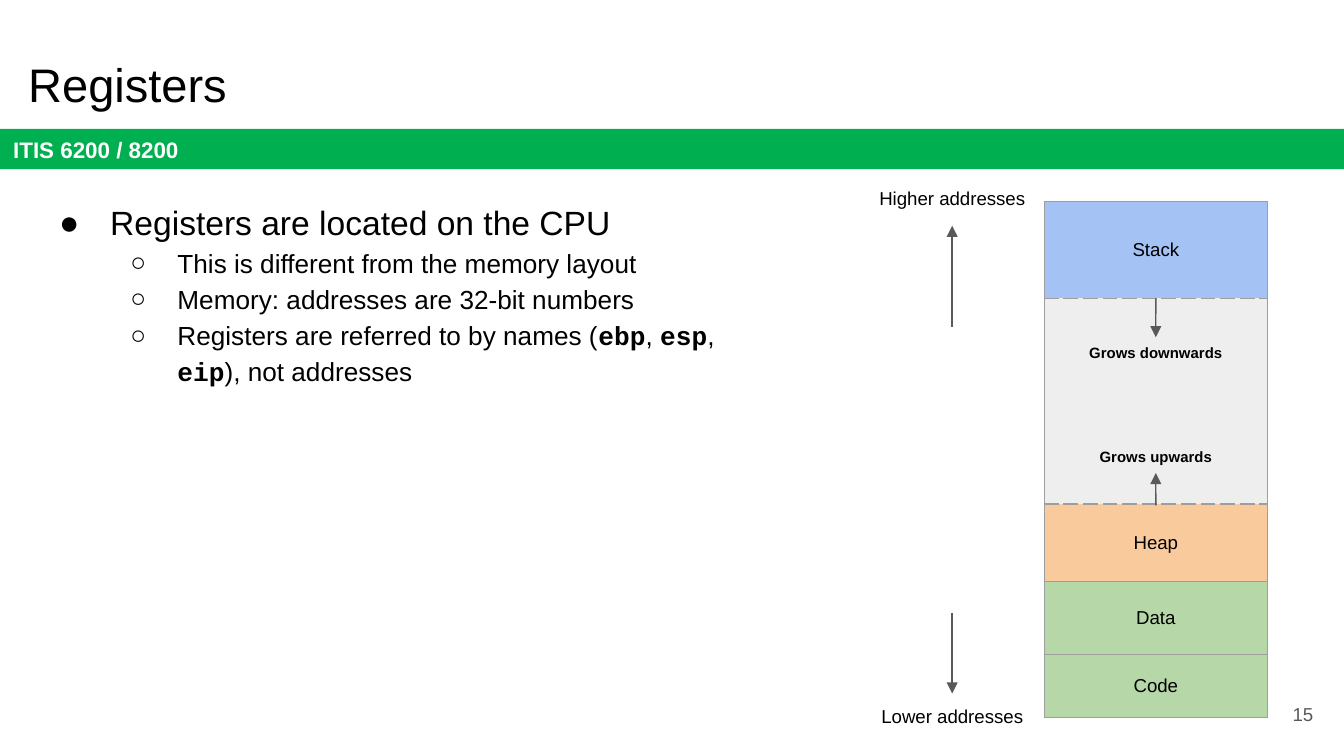
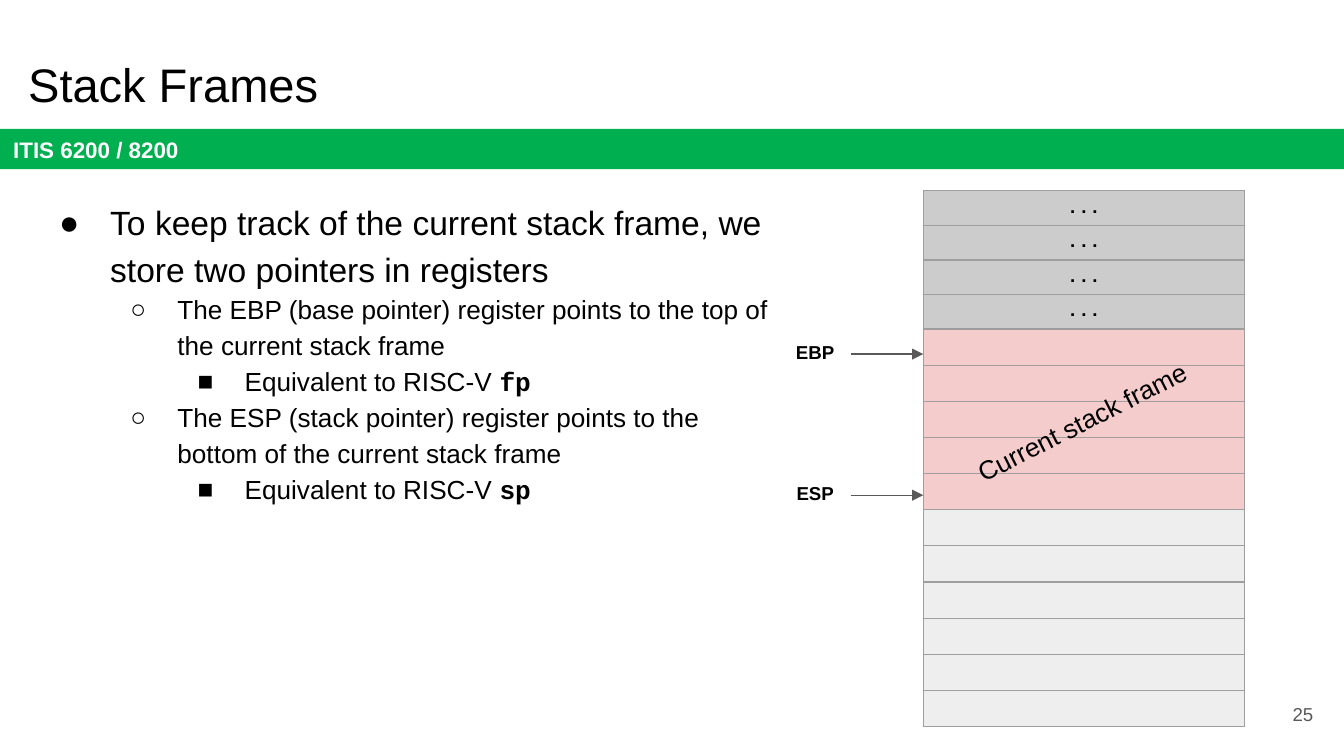
from dataclasses import dataclass

from pptx import Presentation
from pptx.dml.color import RGBColor
from pptx.enum.shapes import MSO_CONNECTOR, MSO_SHAPE
from pptx.enum.text import MSO_ANCHOR, MSO_AUTO_SIZE, PP_ALIGN
from pptx.oxml.xmlchemy import OxmlElement
from pptx.util import Inches, Pt

STRAIGHT, RECTANGLE = MSO_CONNECTOR.STRAIGHT, MSO_SHAPE.RECTANGLE
TOP, MIDDLE, BOTTOM = MSO_ANCHOR.TOP, MSO_ANCHOR.MIDDLE, MSO_ANCHOR.BOTTOM
LEFT, CENTER, RIGHT = PP_ALIGN.LEFT, PP_ALIGN.CENTER, PP_ALIGN.RIGHT
FIXED, GROW = MSO_AUTO_SIZE.NONE, MSO_AUTO_SIZE.SHAPE_TO_FIT_TEXT
TOP_SIDE, BOTTOM_SIDE, RIGHT_SIDE = 0, 2, 3

# The grid has square cells of a tenth of an inch.
CELL = 0.1
COLUMNS, ROWS = 100, 56.25


@dataclass(frozen=True)
class Theme:
    sans: str = "Arial"
    mono: str = "Courier New"
    ink: str = "000000"
    paper: str = "FFFFFF"
    band: str = "00B050"
    muted: str = "595959"
    border: str = "9E9E9E"
    stack: str = "A4C2F4"
    unused: str = "EEEEEE"
    heap: str = "F9CB9C"
    program: str = "B6D7A8"
    older: str = "CCCCCC"
    frame: str = "F4CCCC"
    title_size: float = 25.2
    lead_size: float = 18
    body_size: float = 14
    band_size: float = 12
    label_size: float = 10
    note_size: float = 8
    line_width: float = 0.75
    line_spacing: float = 1.15
    inset: float = 1
    tight_inset: float = 0.5


def grid(length):
    return Inches(length * CELL)


def element(parent, tag, **attributes):
    """Append a drawing element and return it."""
    child = OxmlElement(tag)
    for name, value in attributes.items():
        child.set(name, value)
    parent.append(child)
    return child


class Deck:
    BULLETS = "●○■"

    def __init__(self, theme):
        self.theme = theme
        self.presentation = Presentation()
        self.presentation.slide_width = grid(COLUMNS)
        self.presentation.slide_height = grid(ROWS)
        self.slide = None

    def style(self, paragraph, size, color=None, bold=False, font=None):
        for run in paragraph.runs:
            run.font.name = font or self.theme.sans
            run.font.size = Pt(size)
            run.font.bold = bold
            run.font.color.rgb = RGBColor.from_string(color or self.theme.ink)

    def frame(self, shape, anchor=TOP, inset=None, fit=FIXED):
        """Set up the text area of a shape and return it."""
        area = shape.text_frame
        area.word_wrap = True
        area.auto_size = fit
        area.vertical_anchor = anchor
        margin = grid(self.theme.inset if inset is None else inset)
        area.margin_left = area.margin_right = margin
        area.margin_top = area.margin_bottom = margin
        return area

    def place(self, shape, left, top, width, height):
        shape.left, shape.top = grid(left), grid(top)
        shape.width, shape.height = grid(width), grid(height)

    def start(self, title, number):
        """Begin a slide with its title, course band and page number."""
        theme = self.theme
        layout = self.presentation.slide_layouts[1]
        self.slide = self.presentation.slides.add_slide(layout)

        heading = self.slide.shapes.title
        self.place(heading, 1.1, 3, 93.2, 6.3)
        area = self.frame(heading, BOTTOM)
        area.text = title
        area.paragraphs[0].alignment = LEFT
        self.style(area.paragraphs[0], theme.title_size)

        band = self.slide.shapes.add_shape(
            RECTANGLE, 0, grid(9.6), grid(COLUMNS), grid(3))
        band.shadow.inherit = False
        band.fill.solid()
        band.fill.fore_color.rgb = RGBColor.from_string(theme.band)
        band.line.fill.background()
        area = self.frame(band, MIDDLE)
        area.text = "ITIS 6200 / 8200"
        area.paragraphs[0].alignment = LEFT
        self.style(area.paragraphs[0], theme.band_size, theme.paper, True)

        self.label(str(number), 92.7, 51, 6, 4.3, color=theme.muted,
                   align=RIGHT, anchor=MIDDLE, fit=FIXED)

    def bullets(self, items):
        """Fill the body from (level, text) pairs; `backticks` mark code."""
        theme = self.theme
        body = self.slide.placeholders[1]
        self.place(body, 2.2, 13.6, 56.2, 41.2)
        area = self.frame(body)
        for index, (level, text) in enumerate(items):
            paragraph = area.add_paragraph() if index else area.paragraphs[0]
            paragraph.level = level
            paragraph.alignment = LEFT
            paragraph.line_spacing = theme.line_spacing
            paragraph.space_before = paragraph.space_after = Pt(0)
            properties = paragraph._p.get_or_add_pPr()
            properties.set("marL", str(grid(5 * (level + 1))))
            properties.set("indent", str(grid(-3.5 if level else -3.8)))
            element(element(properties, "a:buClr"), "a:srgbClr", val=theme.ink)
            element(properties, "a:buFont", typeface=theme.sans)
            element(properties, "a:buChar", char=self.BULLETS[level])
            pieces = text.split("`")
            for piece in pieces:
                if piece:
                    paragraph.add_run().text = piece
            self.style(paragraph, theme.body_size if level else theme.lead_size)
            code = pieces[1::2]
            for run in paragraph.runs:
                if run.text in code:
                    run.font.name = theme.mono
                    run.font.bold = True

    def label(self, text, left, top, width, height, size=None, color=None,
              bold=False, align=CENTER, anchor=TOP, inset=None, fit=GROW):
        box = self.slide.shapes.add_textbox(
            grid(left), grid(top), grid(width), grid(height))
        area = self.frame(box, anchor, inset, fit)
        area.text = text
        area.paragraphs[0].alignment = align
        self.style(area.paragraphs[0], size or self.theme.label_size, color, bold)
        return box

    def arrow(self, start, end, begin_at=None, end_at=None):
        """Draw an arrow; begin_at and end_at are (shape, side) pairs."""
        line = self.slide.shapes.add_connector(
            STRAIGHT, *(grid(length) for length in (*start, *end)))
        line.line.color.rgb = RGBColor.from_string(self.theme.muted)
        line.line.width = Pt(self.theme.line_width)
        element(line.line._get_or_add_ln(), "a:tailEnd", type="triangle")
        element(line._element.spPr, "a:effectLst")
        if begin_at:
            line.begin_connect(*begin_at)
        if end_at:
            line.end_connect(*end_at)

    def border(self, cell, side, dashed):
        edge = element(cell._tc.get_or_add_tcPr(), f"a:ln{side}",
                       w=str(Pt(self.theme.line_width)))
        fill = element(edge, "a:solidFill")
        element(fill, "a:srgbClr", val=self.theme.border)
        element(edge, "a:prstDash", val="dash" if dashed else "solid")

    def memory(self, left, top, width, regions, dashed=(), anchor=MIDDLE,
               font=None, bold=False):
        """Stack (text, fill, height) regions; dashed lists the dashed edges."""
        theme = self.theme
        total = sum(height for _, _, height in regions)
        table = self.slide.shapes.add_table(
            len(regions), 1, grid(left), grid(top), grid(width), grid(total)).table
        table.first_row = table.horz_banding = False
        for index, (text, fill, height) in enumerate(regions):
            table.rows[index].height = grid(height)
            cell = table.cell(index, 0)
            for side, edge in (("L", None), ("R", None),
                               ("T", index), ("B", index + 1)):
                self.border(cell, side, edge in dashed)
            cell.fill.solid()
            cell.fill.fore_color.rgb = RGBColor.from_string(fill)
            cell.vertical_anchor = anchor
            margin = grid(theme.tight_inset)
            cell.margin_left = cell.margin_right = margin
            cell.margin_top = cell.margin_bottom = margin
            paragraph = cell.text_frame.paragraphs[0]
            paragraph.alignment = CENTER
            if text:
                paragraph.text = text
                self.style(paragraph, theme.label_size, bold=bold, font=font)
            else:
                element(paragraph._p, "a:endParaRPr",
                        sz=str(theme.label_size * 100))


def registers(deck):
    theme = deck.theme
    deck.start("Registers", 15)
    deck.bullets([
        (0, "Registers are located on the CPU"),
        (1, "This is different from the memory layout"),
        (1, "Memory: addresses are 32-bit numbers"),
        (1, "Registers are referred to by names (`ebp`, `esp`, `eip`), "
            "not addresses"),
    ])
    deck.memory(77.7, 15, 16.6, [
        ("Stack", theme.stack, 7.2),
        ("", theme.unused, 15.3),
        ("Heap", theme.heap, 5.8),
        ("Data", theme.program, 5.4),
        ("Code", theme.program, 4.7),
    ], dashed=(1, 2))
    for text, top, tail, head, side in (
            ("Higher addresses", 13.1, 24.3, 16.8, BOTTOM_SIDE),
            ("Lower addresses", 51.6, 45.6, 51.6, TOP_SIDE)):
        name = deck.label(text, 64, top, 13.7, 3.7)
        deck.arrow((70.85, tail), (70.85, head), end_at=(name, side))
    for text, top, tail, head, side in (
            ("Grows downwards", 25.1, 22.2, 25.1, TOP_SIDE),
            ("Grows upwards", 32.8, 37.6, 35.2, BOTTOM_SIDE)):
        growth = deck.label(text, 80.4, top, 11.2, 2.4, size=theme.note_size,
                            bold=True, inset=theme.tight_inset)
        deck.arrow((86, tail), (86, head), end_at=(growth, side))


def stack_frames(deck):
    theme = deck.theme
    deck.start("Stack Frames", 25)
    deck.bullets([
        (0, "To keep track of the current stack frame, we store two pointers "
            "in registers"),
        (1, "The EBP (base pointer) register points to the top of the current "
            "stack frame"),
        (2, "Equivalent to RISC-V `fp`"),
        (1, "The ESP (stack pointer) register points to the bottom of the "
            "current stack frame"),
        (2, "Equivalent to RISC-V `sp`"),
    ])
    word_height = 2.56
    words = ([("...", theme.older, word_height)] * 4
             + [("", theme.frame, word_height)] * 5
             + [("", theme.unused, word_height)] * 6)
    deck.memory(68.7, 14.2, 23.9, words, anchor=TOP, font=theme.mono, bold=True)
    for pointer, top in (("EBP", 24.5), ("ESP", 35)):
        name = deck.label(pointer, 58, top, 5.3, 3.7, bold=True)
        level = top + 1.85
        deck.arrow((63.3, level), (68.7, level), begin_at=(name, RIGHT_SIDE))
    caption = deck.label("Current stack frame", 70.5, 29.2, 20, 4.4,
                         size=theme.body_size)
    caption.rotation = 333.1


def main():
    deck = Deck(Theme())
    registers(deck)
    stack_frames(deck)
    deck.presentation.save("out.pptx")


if __name__ == "__main__":
    main()
